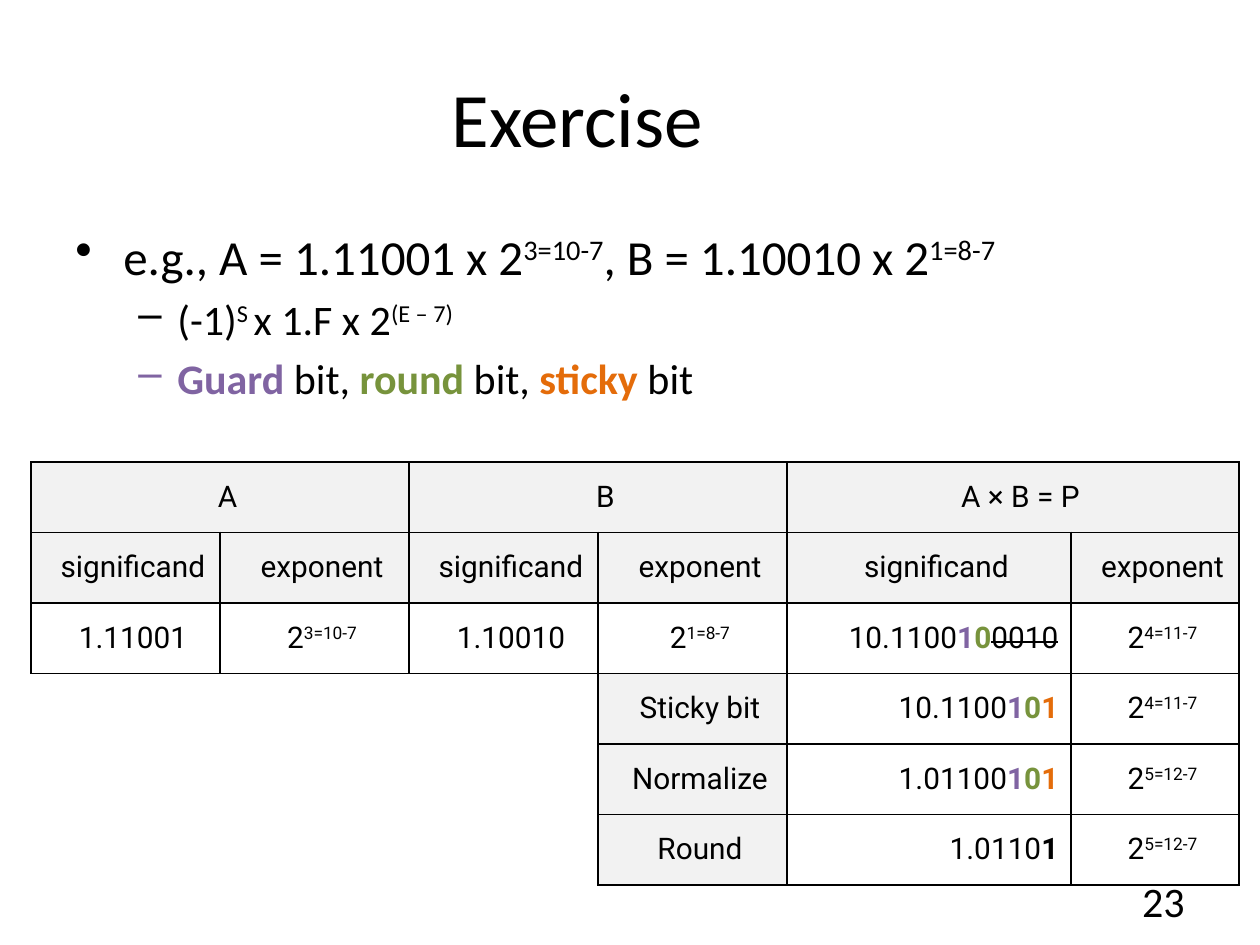
from typing import NamedTuple, Sequence

from lxml.etree import SubElement
from pptx import Presentation
from pptx.dml.color import RGBColor
from pptx.enum.text import MSO_ANCHOR as Anchor, PP_ALIGN as Align
from pptx.oxml.ns import qn
from pptx.util import Emu, Pt

EMU_PER_PX = 914400 / 126
BLACK, WHITE, GRAY = "000000", "FFFFFF", "F2F2F2"
PURPLE, GREEN, ORANGE = "8064A2", "77933C", "E46C0A"


class Span(NamedTuple):
    text: str
    color: str = BLACK
    bold: bool = False
    raised: bool = False
    struck: bool = False


class Line(NamedTuple):
    spans: Sequence[Span]
    size: int
    bullet: str
    margin: int
    indent: int
    before: float


class Cell(NamedTuple):
    spans: Sequence[Span]
    fill: str = WHITE
    align: Align = Align.CENTER


def px(length: int) -> Emu:
    return Emu(round(length * EMU_PER_PX))


def rgb(color: str) -> RGBColor:
    return RGBColor.from_string(color)


def power(exponent: str, base: str = "2") -> list[Span]:
    return [Span(base), Span(exponent, raised=True)]


def guard_round(lead: str, last: Span) -> list[Span]:
    return [Span(lead), Span("1", PURPLE, True), Span("0", GREEN, True), last]


def write(para, spans: Sequence[Span], *, size: int, font: str = "Calibri",
          align: Align = Align.LEFT, bullet: str = "", margin: int = 0,
          indent: int = 0, before: float = 0) -> None:
    properties = para._p.get_or_add_pPr()
    properties.set("marL", str(px(margin)))
    properties.set("indent", str(px(indent)))
    if bullet:
        SubElement(properties, qn("a:buChar")).set("char", bullet)
    para.alignment = align
    para.space_before = Pt(before)
    for part in spans:
        span = para.add_run()
        span.text = part.text
        span.font.name, span.font.size = font, Pt(size)
        span.font.bold = part.bold
        span.font.color.rgb = rgb(part.color)
        if part.raised:
            span._r.get_or_add_rPr().set("baseline", "30000")
        if part.struck:
            span._r.get_or_add_rPr().set("strike", "sngStrike")


def add_box(page, left: int, top: int, width: int, height: int, anchor: Anchor):
    box = page.shapes.add_textbox(px(left), px(top), px(width), px(height))
    box.text_frame.word_wrap = True
    box.text_frame.vertical_anchor = anchor
    return box.text_frame


def set_borders(cell, sides: str) -> None:
    properties = cell._tc.get_or_add_tcPr()
    for side in "LRTB":
        border = SubElement(properties, qn(f"a:ln{side}"), w=str(Pt(1)))
        if side in sides:
            fill = SubElement(border, qn("a:solidFill"))
            SubElement(fill, qn("a:srgbClr"), val=BLACK)
        else:
            SubElement(border, qn("a:noFill"))


def heads(*labels: str) -> list[Cell]:
    return [Cell([Span(label)], GRAY) for label in labels]


def product(spans: Sequence[Span], exponent: str) -> list[Cell]:
    return [Cell(spans, align=Align.RIGHT), Cell(power(exponent))]


def add_grid(page, rows, columns: Sequence[int], left: int, top: int, height: int) -> None:
    table = page.shapes.add_table(len(rows), len(columns), px(left), px(top),
                                  px(sum(columns)), px(height)).table
    table.first_row = table.horz_banding = False
    for column, width in zip(table.columns, columns):
        column.width = px(width)
    for row in table.rows:
        row.height = Emu(px(height) // len(rows))
    for r, row in enumerate(rows):
        for c, content in enumerate(row):
            cell = table.cell(r, c)
            # The lower-left corner stays open
            corner = r > 2 and c < 3
            sides = ("T" if r == 3 else "") + ("R" if c == 2 else "")
            set_borders(cell, sides if corner else "LRTB")
            cell.fill.solid()
            cell.fill.fore_color.rgb = rgb(content.fill if content else WHITE)
            cell.vertical_anchor = Anchor.MIDDLE
            if content:
                write(cell.text_frame.paragraphs[0], content.spans, size=17,
                      font="Roboto", align=content.align, margin=15)
    for c in range(0, len(columns), 2):
        table.cell(0, c).merge(table.cell(0, c + 1))


def main() -> None:
    deck = Presentation()
    deck.slide_width, deck.slide_height = px(1260), px(945)
    page = deck.slides.add_slide(deck.slide_layouts[6])

    # Title
    title = add_box(page, 63, 38, 1029, 157, Anchor.MIDDLE)
    write(title.paragraphs[0], [Span("Exercise")], size=44, align=Align.CENTER)

    # Bullets
    lines = [
        Line(power("3=10-7", "e.g., A = 1.11001 x 2")
             + power("1=8-7", ", B = 1.10010 x 2"), 28, "•", 48, -48, 0),
        Line(power("S ", "(-1)") + power("(E – 7)", "x 1.F x 2"),
             24, "–", 102, -39, 4.8),
        Line([Span("Guard", PURPLE, True), Span(" bit, "),
              Span("round", GREEN, True), Span(" bit, "),
              Span("sticky", ORANGE, True), Span(" bit")],
             24, "–", 102, -39, 4.8),
    ]
    body = add_box(page, 63, 220, 1187, 158, Anchor.TOP)
    for i, line in enumerate(lines):
        para = body.add_paragraph() if i else body.paragraphs[0]
        write(para, line.spans, size=line.size, bullet=line.bullet,
              margin=line.margin, indent=line.indent, before=line.before)

    # Page number
    number = add_box(page, 1050, 876, 147, 50, Anchor.MIDDLE)
    write(number.paragraphs[0], [Span("23")], size=24, align=Align.RIGHT)

    # Multiplication steps
    a, b, result = heads("A", "B", "A × B = P")
    sticky = Span("1", ORANGE, True)
    blank = [None] * 3
    rows = [
        [a, None, b, None, result, None],
        heads("significand", "exponent") * 3,
        [Cell([Span("1.11001")]), Cell(power("3=10-7")),
         Cell([Span("1.10010")]), Cell(power("1=8-7")),
         *product(guard_round("10.1100", Span("0010", struck=True)), "4=11-7")],
        blank + heads("Sticky bit") + product(guard_round("10.1100", sticky), "4=11-7"),
        blank + heads("Normalize") + product(guard_round("1.01100", sticky), "5=12-7"),
        blank + heads("Round") + product([Span("1.0110"), Span("1", bold=True)], "5=12-7"),
    ]
    add_grid(page, rows, [189, 189, 189, 189, 284, 168], left=31, top=462, height=423)

    deck.save("out.pptx")


if __name__ == "__main__":
    main()
